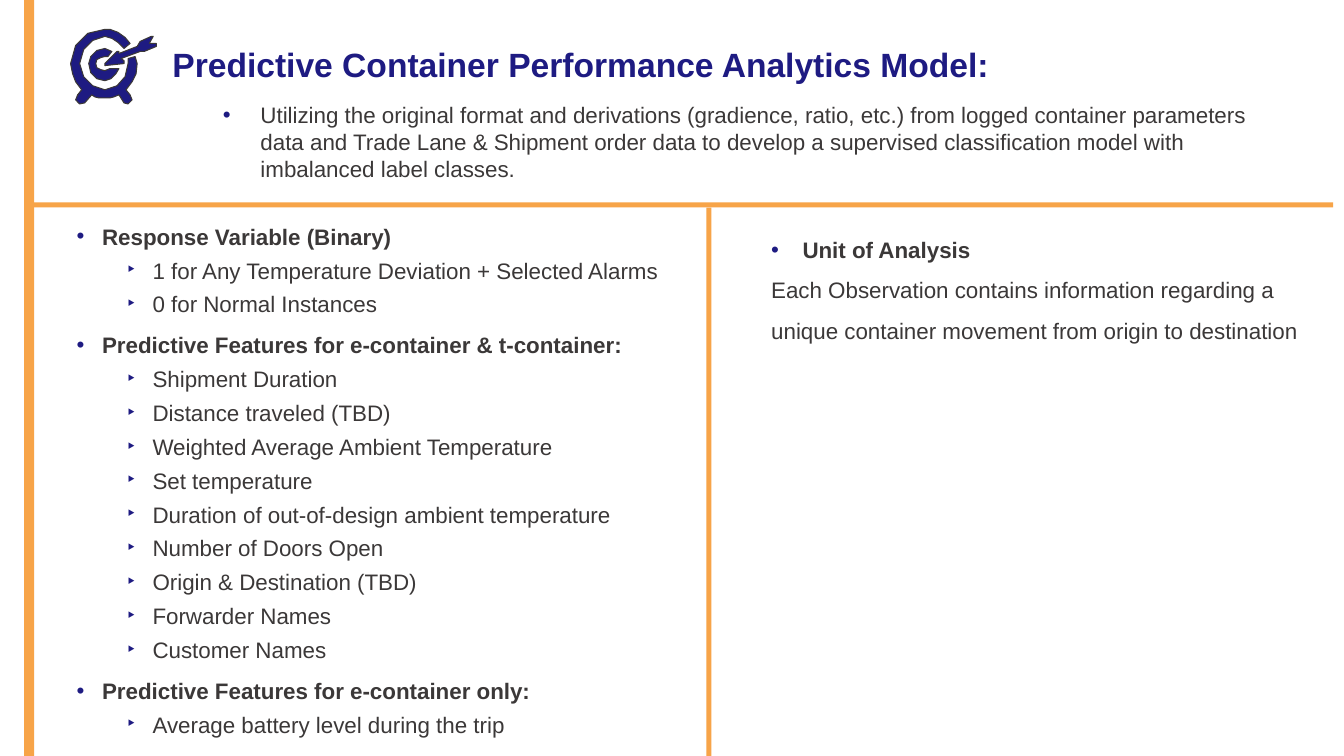
from lxml.etree import SubElement
from pptx import Presentation
from pptx.dml.color import RGBColor
from pptx.enum.shapes import MSO_SHAPE as SHAPE
from pptx.enum.text import MSO_ANCHOR as ANCHOR, MSO_AUTO_SIZE as FIT, PP_ALIGN as ALIGN
from pptx.oxml.ns import qn
from pptx.util import Cm, Pt

COLORS = {"navy": "1E1B82", "orange": "F7A448", "text": "3B3838"}
FRAME = {"word_wrap": True, "auto_size": FIT.NONE, "vertical_anchor": ANCHOR.TOP}

# Paragraph formats; indent is (left margin, hanging) in cm
PLAIN = {"size": 16, "bold": False, "color": "text"}
TITLE = {"size": 24, "bold": True, "color": "navy"}
INTRO = PLAIN | {"level": 1, "before": 12, "indent": (2.22, 0.95), "bullet": "•"}
HEAD = PLAIN | {"bold": True, "before": 10, "indent": (0.64, 0.64), "bullet": "•"}
ITEM = PLAIN | {"level": 1, "before": 5, "indent": (1.91, 0.64), "bullet": "‣"}
UNIT = HEAD | {"before": 0, "indent": (0.79, 0.79), "spacing": 1.5}
NOTE = PLAIN | {"spacing": 1.5}

INTRO_TEXT = (
    "Utilizing the original format and derivations (gradience, ratio, etc.) from logged "
    "container parameters data and Trade Lane & Shipment order data to develop a supervised "
    "classification model with imbalanced label classes.")
SECTIONS = {
    "Response Variable (Binary)": [
        "1 for Any Temperature Deviation + Selected Alarms",
        "0 for Normal Instances"],
    "Predictive Features for e-container & t-container:": [
        "Shipment Duration", "Distance traveled (TBD)",
        "Weighted Average Ambient Temperature", "Set temperature",
        "Duration of out-of-design ambient temperature", "Number of Doors Open",
        "Origin & Destination (TBD)", "Forwarder Names", "Customer Names"],
    "Predictive Features for e-container only:": [
        "Average battery level during the trip"],
}
UNIT_TEXT = ("Each Observation contains information regarding a unique container "
             "movement from origin to destination")

# Target icon on an 85 x 78 grid: pairs are corners, sixes are Bézier curves
ICON_GRID = 85
ARROW = [(66, 17), (69, 12), (80, 7), (82, 7), (78, 14), (85, 14), (85, 17), (73, 22),
         (69, 22), (50, 29), (53, 31), (53, 34), (34, 36), (34, 34), (46, 22), (48, 22),
         (48, 24)]
BULLSEYE = [(34, 19), (25, 19, 18, 27, 18, 34), (18, 44, 25, 51, 34, 51),
            (41, 51, 46, 44, 48, 39), (39, 39), (34, 41), (30, 41, 25, 39, 25, 34),
            (25, 29, 30, 27, 34, 27), (37, 27), (41, 22), (34, 19)]
RING = [(48, 65), (53, 73), (57, 77, 64, 70, 59, 65), (55, 60),
        (62, 53, 66, 44, 66, 34), (64, 27), (57, 29), (57, 34),
        (57, 48, 48, 60, 34, 60), (21, 60, 9, 48, 9, 34), (9, 19, 21, 7, 34, 7),
        (41, 7, 48, 12, 53, 19), (59, 14), (55, 7, 48, 2, 39, 0), (34, 0),
        (16, 0, 0, 14, 0, 34), (0, 44, 5, 53, 11, 60), (7, 65),
        (2, 70, 9, 77, 14, 73), (21, 65), (23, 68, 27, 68, 34, 68),
        (39, 68, 43, 68, 48, 65)]


def rgb(name):
    return RGBColor.from_string(COLORS[name])


def write(p, text, fmt):
    r = p.add_run()
    r.text = text
    font = {"name": "Arial", "size": Pt(fmt["size"]), "bold": fmt["bold"]}
    for key, value in font.items():
        setattr(r.font, key, value)
    r.font.color.rgb = rgb(fmt["color"])
    layout = {"level": fmt.get("level", 0), "alignment": ALIGN.LEFT,
              "space_before": Pt(fmt.get("before", 0)), "space_after": Pt(0),
              "line_spacing": fmt.get("spacing", 1.0)}
    for key, value in layout.items():
        setattr(p, key, value)
    # Indent and bullet
    pPr = p._p.get_or_add_pPr()
    margin, hanging = fmt.get("indent", (0, 0))
    pPr.set("marL", str(Cm(margin)))
    pPr.set("indent", str(-Cm(hanging)))
    if "bullet" in fmt:
        SubElement(SubElement(pPr, qn("a:buClr")), qn("a:srgbClr"), val=COLORS["navy"])
        SubElement(pPr, qn("a:buFont"), typeface="Arial")
        SubElement(pPr, qn("a:buChar"), char=fmt["bullet"])
    else:
        SubElement(pPr, qn("a:buNone"))


def fill_text(sp, box, paragraphs):
    for key, value in zip(("left", "top", "width", "height"), box):
        setattr(sp, key, Cm(value))
    tf = sp.text_frame
    for key, value in FRAME.items():
        setattr(tf, key, value)
    for i, (text, fmt) in enumerate(paragraphs):
        write(tf.add_paragraph() if i else tf.paragraphs[0], text, fmt)


def add_bars(slide, box):
    """Orange side bar, header rule and column divider."""
    x, y, w, h = box
    bars = [(x + 0.1, y + 5.1, w - 0.36, 0.13),
            (x, y, 0.25, h),
            (x + 17.19, y + 5.23, 0.13, h - 5.23)]
    for bar in bars:
        sp = slide.shapes.add_shape(SHAPE.RECTANGLE, *map(Cm, bar))
        sp.shadow.inherit = False
        sp.fill.solid()
        sp.fill.fore_color.rgb = rgb("orange")
        sp.line.fill.background()


def flatten(outline, steps=3):
    """Turn corners and curves into a list of points."""
    points = [outline[0]]
    for seg in outline[1:]:
        if len(seg) == 2:
            points.append(seg)
            continue
        ctrl = (points[-1], seg[:2], seg[2:4], seg[4:])
        for t in (i / steps for i in range(1, steps + 1)):
            weights = ((1 - t) ** 3, 3 * t * (1 - t) ** 2, 3 * t * t * (1 - t), t ** 3)
            points.append(tuple(sum(k * c[axis] for k, c in zip(weights, ctrl))
                                for axis in (0, 1)))
    return points


def add_target(slide, x, y, w):
    scale = Cm(w) / ICON_GRID
    first, *others = [flatten(outline) for outline in (ARROW, BULLSEYE, RING)]
    pen = slide.shapes.build_freeform(*first[0], scale=scale)
    pen.add_line_segments(first[1:], close=True)
    for points in others:
        pen.move_to(*points[0])
        pen.add_line_segments(points[1:], close=True)
    sp = pen.convert_to_shape(Cm(x), Cm(y))
    sp.shadow.inherit = False
    sp.fill.solid()
    sp.fill.fore_color.rgb = rgb("navy")
    sp.line.color.rgb = rgb("text")
    sp.line.width = Pt(0.75)


def add_header(slide, title, box):
    x, y, w, h = box
    add_target(slide, x, y - 0.25, 2.16)
    fill_text(title, (x + 2.31, y, w - 2.31, h),
              [("Predictive Container Performance Analytics Model:", TITLE),
               (INTRO_TEXT, INTRO)])


def add_features(sp, box):
    rows = []
    for head, items in SECTIONS.items():
        rows += [(head, HEAD)] + [(item, ITEM) for item in items]
    fill_text(sp, box, rows)


def add_unit(sp, box):
    fill_text(sp, box, [("Unit of Analysis", UNIT), (UNIT_TEXT, NOTE)])


def main():
    prs = Presentation()
    prs.slide_width, prs.slide_height = Cm(33.87), Cm(19.05)
    slide = prs.slides.add_slide(prs.slide_layouts.get_by_name("Two Content"))
    title, features, unit = slide.placeholders
    add_bars(slide, (0.61, 0, 33.25, 19.05))
    add_header(slide, title, (1.78, 0.99, 30.1, 3.76))
    add_features(features, (1.68, 5.49, 15.24, 12.22))
    add_unit(unit, (19.18, 5.49, 14.1, 5.26))
    prs.save("out.pptx")


if __name__ == "__main__":
    main()
